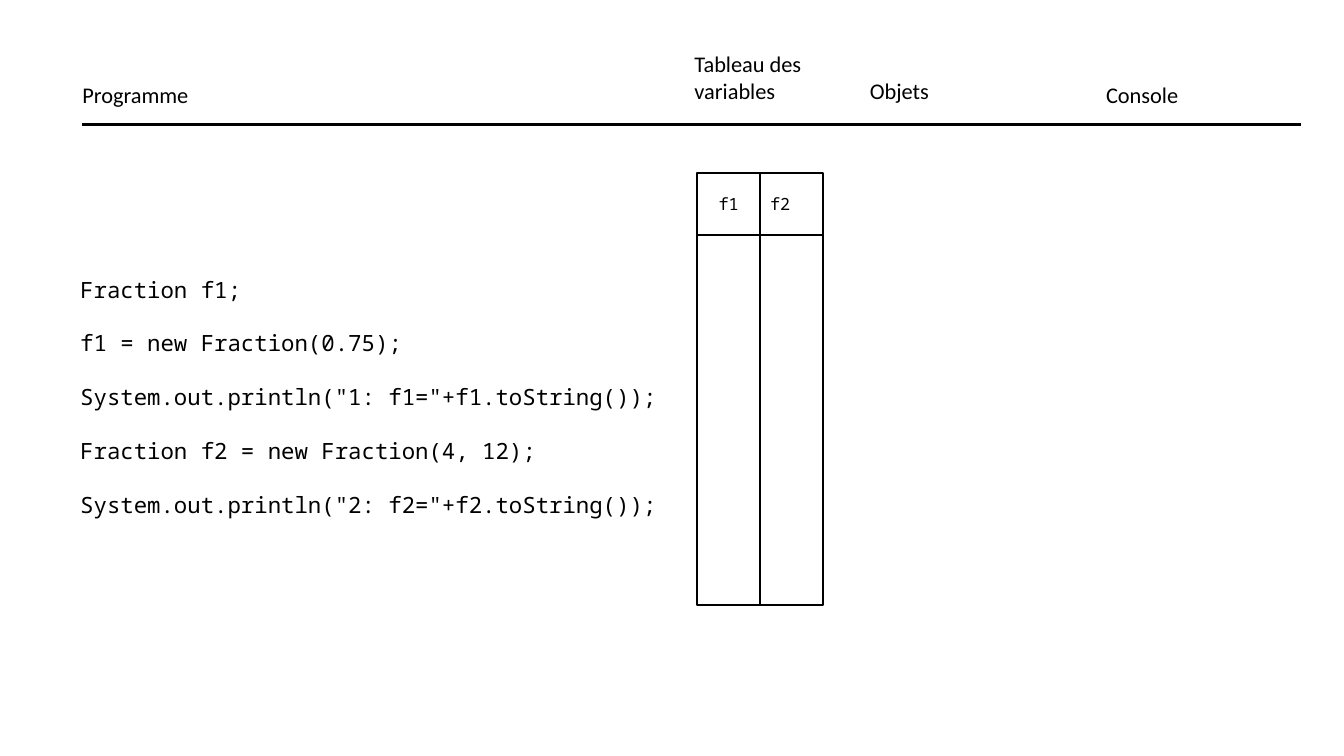
from dataclasses import dataclass

from lxml import etree
from pptx import Presentation
from pptx import util as u
from pptx.dml.color import RGBColor
from pptx.enum import shapes, text
from pptx.oxml.ns import qn

PX = 9525  # EMU per px, 96 px to the inch
BLACK = RGBColor(0, 0, 0)
SANS, MONO = "Calibri", "Noto Sans Mono"


@dataclass
class Label:
    words: str
    x: int
    y: int
    w: int
    h: int
    size: int = 16
    font: str = SANS


HEADS = [
    Label("Tableau des variables", 652, 43, 130, 61),
    Label("Objets", 819, 69, 130, 36),
    Label("Programme", 69, 73, 130, 36),
    Label("Console", 1044, 73, 130, 36),
]
NAMES = [
    Label("f1", 675, 180, 50, 29, 12, MONO),
    Label("f2", 724, 180, 57, 29, 12, MONO),
]
CODE = Label(
    "\n".join([
        "Fraction f1;",
        "f1 = new Fraction(0.75);",
        'System.out.println("1: f1="+f1.toString());',
        "Fraction f2 = new Fraction(4, 12);",
        'System.out.println("2: f2="+f2.toString());',
    ]),
    67, 258, 616, 242, 16, MONO,
)


def px(*nums: int) -> list[u.Emu]:
    return [u.Emu(n * PX) for n in nums]


def write(group, label: Label):
    """Add a text box to a shape collection and return its text frame."""
    box = group.add_textbox(*px(label.x, label.y, label.w, label.h))
    frame = box.text_frame
    frame.word_wrap = True
    frame.auto_size = text.MSO_AUTO_SIZE.SHAPE_TO_FIT_TEXT
    frame.text = label.words
    for para in frame.paragraphs:
        for run in para.runs:
            run.font.size = u.Pt(label.size)
            run.font.name = label.font
            run.font.color.rgb = BLACK
    return frame


def rule(group, x1: int, y1: int, x2: int, y2: int, width: float):
    """Add a plain black line without shadow."""
    line = group.add_connector(shapes.MSO_CONNECTOR.STRAIGHT, *px(x1, y1, x2, y2))
    line.line.color.rgb = BLACK
    line.line.width = u.Pt(width)
    etree.SubElement(line._element.spPr, qn("a:effectLst"))
    return line


def grid(group, x: int, y: int, w: int, h: int, head: int) -> None:
    """Draw the variable table: frame, column split and header line."""
    frame = group.add_shape(shapes.MSO_SHAPE.RECTANGLE, *px(x, y, w, h))
    frame.shadow.inherit = False
    frame.fill.background()
    frame.line.color.rgb = BLACK
    frame.line.width = u.Pt(1.5)
    mid = x + w // 2
    split = rule(group, mid, y, mid, y + h, 1.5)
    split.begin_connect(frame, 0)
    split.end_connect(frame, 2)
    rule(group, x, y + head, x + w, y + head, 1.5)


def main() -> None:
    deck = Presentation()
    deck.slide_width, deck.slide_height = px(1280, 720)
    slide = deck.slides.add_slide(deck.slide_layouts[6])

    # Variable table
    table = slide.shapes.add_group_shape().shapes
    grid(table, 664, 165, 120, 411, 59)
    for name in NAMES:
        write(table, name)

    # Program listing
    for para in write(slide.shapes, CODE).paragraphs:
        para.line_spacing = u.Pt(19.2)
        para.space_after = u.Pt(19.2)

    # Column headings and the line below them
    for head in HEADS:
        write(slide.shapes, head)
    rule(slide.shapes, 78, 119, 1239, 119, 2.25)

    deck.save("out.pptx")


if __name__ == "__main__":
    main()
